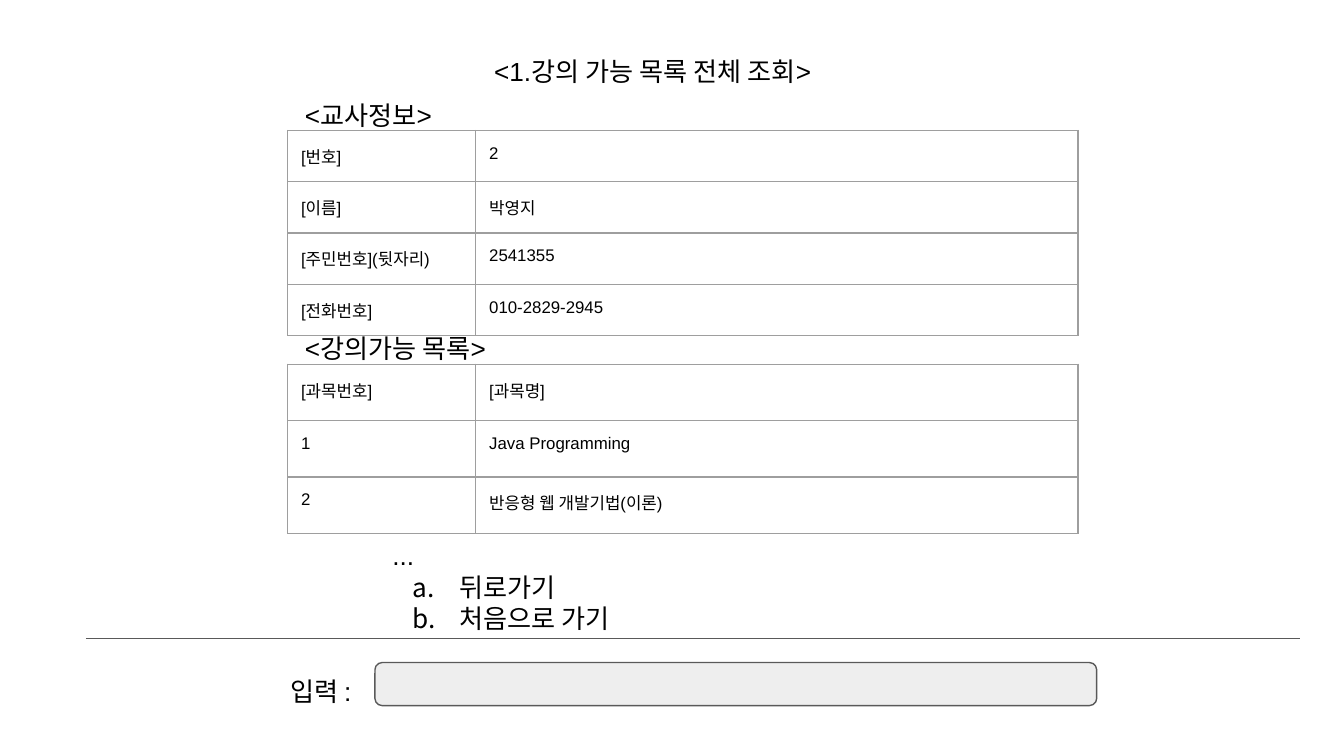
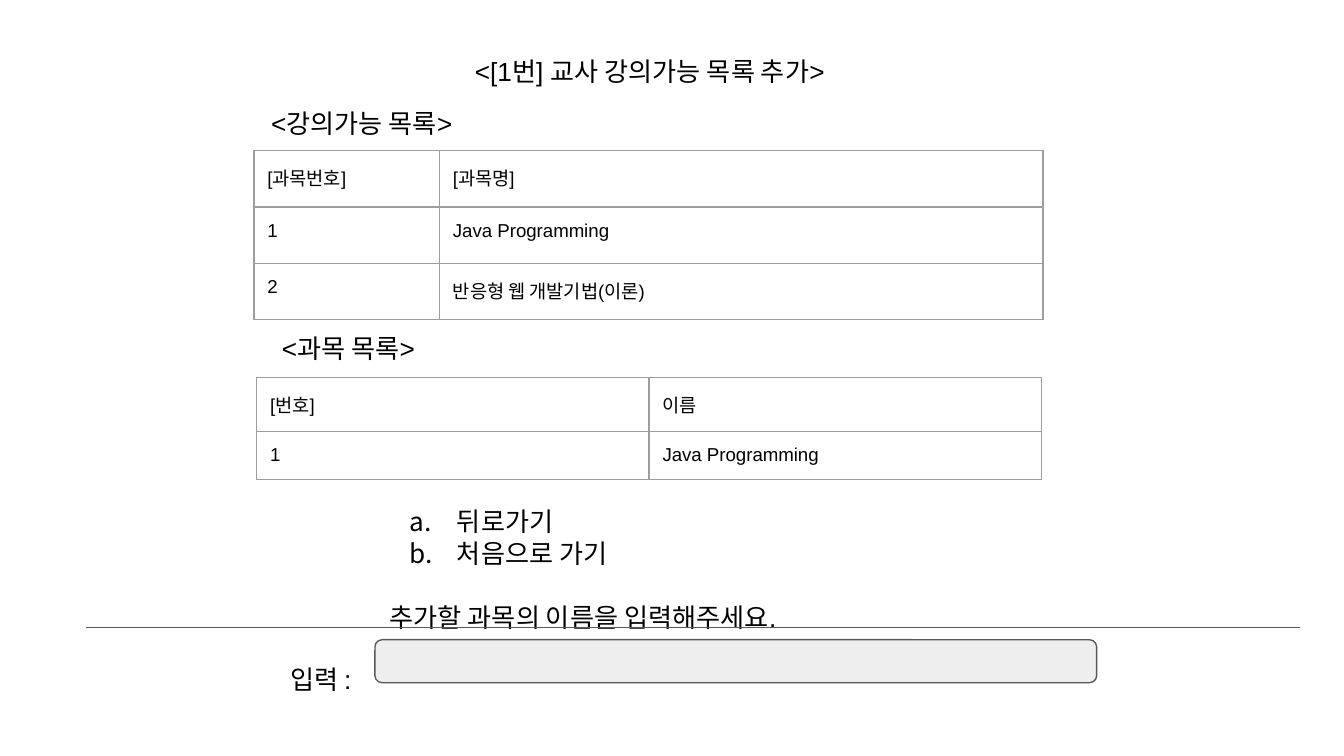
from dataclasses import dataclass

from pptx import Presentation
from pptx.dml.color import RGBColor
from pptx.enum.shapes import MSO_CONNECTOR, MSO_SHAPE
from pptx.enum.text import MSO_ANCHOR, MSO_AUTO_SIZE, PP_ALIGN
from pptx.oxml import parse_xml
from pptx.oxml.ns import nsdecls
from pptx.util import Emu, Pt

PX = 4572


@dataclass(frozen=True)
class Theme:
    font: str = "Arial"
    ink: str = "000000"
    rule: str = "595959"
    grid: str = "9E9E9E"
    field: str = "EEEEEE"
    text_size: int = 14
    menu_pitch: int = 17
    line_width: float = 0.75
    inset: int = 20


THEME = Theme()
PAGE_SIZE = (2000, 1125)
SUBJECTS = [
    ("[과목번호]", "[과목명]"),
    ("1", "Java Programming"),
    ("2", "반응형 웹 개발기법(이론)"),
]
CHOICES = ["뒤로가기", "처음으로 가기"]

PAGES = [
    {
        "title": ("<1.강의 가능 목록 전체 조회>", 564),
        "labels": [("<교사정보>", 434, 128, 274), ("<강의가능 목록>", 434, 474, 506)],
        "tables": [
            {
                "at": (428, 194), "columns": (280, 896), "rows": (64,) * 4, "size": 9,
                "cells": [
                    ("[번호]", "2"),
                    ("[이름]", "박영지"),
                    ("[주민번호](뒷자리)", "2541355"),
                    ("[전화번호]", "010-2829-2945"),
                ],
            },
            {"at": (428, 542), "columns": (280, 896), "rows": (84,) * 3, "size": 9,
             "cells": SUBJECTS},
        ],
        "menu": {"at": (564, 782), "before": "...", "after": None},
        "rule": 950, "prompt": 962, "field": 986,
    },
    {
        "title": ("<[1번] 교사 강의가능 목록 추가>", 560),
        "labels": [("<강의가능 목록>", 384, 140, 506), ("<과목 목록>", 400, 474, 506)],
        "tables": [
            {"at": (378, 224), "columns": (276, 898), "rows": (84,) * 3, "size": 10,
             "cells": SUBJECTS},
            {"at": (382, 562), "columns": (584, 584), "rows": (18, 60), "size": 10,
             "cells": [("[번호]", "이름"), ("1", "Java Programming")]},
        ],
        "menu": {"at": (560, 732), "before": None, "after": "추가할 과목의 이름을 입력해주세요."},
        "rule": 934, "prompt": 944, "field": 952,
    },
]


def px(*values):
    return [Emu(value * PX) for value in values]


def color(code):
    return RGBColor.from_string(code)


def place(box, left, top, width, height):
    box.left, box.top, box.width, box.height = px(left, top, width, height)


def write(frame, text, size=THEME.text_size, align=PP_ALIGN.LEFT, spacing=None,
          before=0, bullet=None, first=True):
    para = frame.paragraphs[0] if first else frame.add_paragraph()
    if bullet is not None:
        properties = para._p.get_or_add_pPr()
        left, hanging = px(100, -70) if bullet else (0, 0)
        properties.set("marL", str(left))
        properties.set("indent", str(hanging))
        marks = [f'<a:buClr {nsdecls("a")}><a:srgbClr val="{THEME.ink}"/></a:buClr>',
                 f'<a:buFont {nsdecls("a")} typeface="{THEME.font}"/>',
                 f'<a:buAutoNum {nsdecls("a")} type="alphaLcPeriod"/>']
        for mark in marks if bullet else [f'<a:buNone {nsdecls("a")}/>']:
            properties.append(parse_xml(mark))
    para.alignment = align
    para.space_before = Pt(before)
    if spacing:
        para.line_spacing = spacing
    span = para.add_run()
    span.text = text
    span.font.name = THEME.font
    span.font.size = Pt(size)
    span.font.color.rgb = color(THEME.ink)


def prepare(frame):
    frame.word_wrap = True
    frame.auto_size = MSO_AUTO_SIZE.NONE
    frame.vertical_anchor = MSO_ANCHOR.TOP
    inset = Emu(THEME.inset * PX)
    frame.margin_left = frame.margin_right = inset
    frame.margin_top = frame.margin_bottom = inset
    return frame


def add_text(page, text, left, top, width, height, **style):
    box = page.shapes.add_textbox(*px(left, top, width, height))
    write(prepare(box.text_frame), text, **style)


def add_title(page, text, left):
    box = page.shapes.title
    place(box, left, 62, 814, 90)
    write(prepare(box.text_frame), text, align=PP_ALIGN.CENTER)


def add_menu(page, at, before, after):
    box = page.placeholders[1]
    place(box, *at, 814, 180)
    frame = prepare(box.text_frame)
    lines = [(before, False, 0)] if before else []
    lines += [(choice, True, 0) for choice in CHOICES]
    if after:
        lines.append((after, False, THEME.menu_pitch))
    for index, (text, bullet, gap) in enumerate(lines):
        write(frame, text, bullet=bullet, before=gap, first=index == 0,
              spacing=Pt(THEME.menu_pitch))


def outline(cell):
    properties = cell._tc.get_or_add_tcPr()
    for position, side in enumerate(("lnL", "lnR", "lnT", "lnB")):
        properties.insert(position, parse_xml(
            f'<a:{side} {nsdecls("a")} w="{Pt(THEME.line_width)}"><a:solidFill>'
            f'<a:srgbClr val="{THEME.grid}"/></a:solidFill></a:{side}>'))


def add_grid(page, at, columns, rows, size, cells):
    table = page.shapes.add_table(
        len(rows), len(columns), *px(*at, sum(columns), sum(rows))).table
    table.first_row = table.horz_banding = False
    for column, width in zip(table.columns, px(*columns)):
        column.width = width
    for row, height, texts in zip(table.rows, px(*rows), cells):
        row.height = height
        for cell, text in zip(row.cells, texts):
            inset = Emu(THEME.inset * PX)
            cell.margin_left = cell.margin_right = inset
            cell.margin_top = cell.margin_bottom = inset
            cell.fill.background()
            outline(cell)
            write(cell.text_frame, text, size=size)


def add_input(page, rule, prompt, field):
    line = page.shapes.add_connector(MSO_CONNECTOR.STRAIGHT, *px(128, rule, 1934, rule))
    line._element.spPr.append(parse_xml(f'<a:effectLst {nsdecls("a")}/>'))
    add_text(page, "입력 :", 412, prompt, 1414, 88, spacing=1.5)
    box = page.shapes.add_shape(MSO_SHAPE.ROUNDED_RECTANGLE, *px(558, field, 1074, 64))
    box.shadow.inherit = False
    box.fill.solid()
    box.fill.fore_color.rgb = color(THEME.field)
    for shape in (line, box):
        shape.line.color.rgb = color(THEME.rule)
        shape.line.width = Pt(THEME.line_width)


def build_page(deck, content):
    page = deck.slides.add_slide(deck.slide_layouts[1])
    add_title(page, *content["title"])
    add_menu(page, **content["menu"])
    add_input(page, content["rule"], content["prompt"], content["field"])
    for table in content["tables"]:
        add_grid(page, **table)
    for text, left, top, width in content["labels"]:
        add_text(page, text, left, top, width, 56)


def main():
    deck = Presentation()
    deck.slide_width, deck.slide_height = px(*PAGE_SIZE)
    for content in PAGES:
        build_page(deck, content)
    deck.save("out.pptx")


if __name__ == "__main__":
    main()
